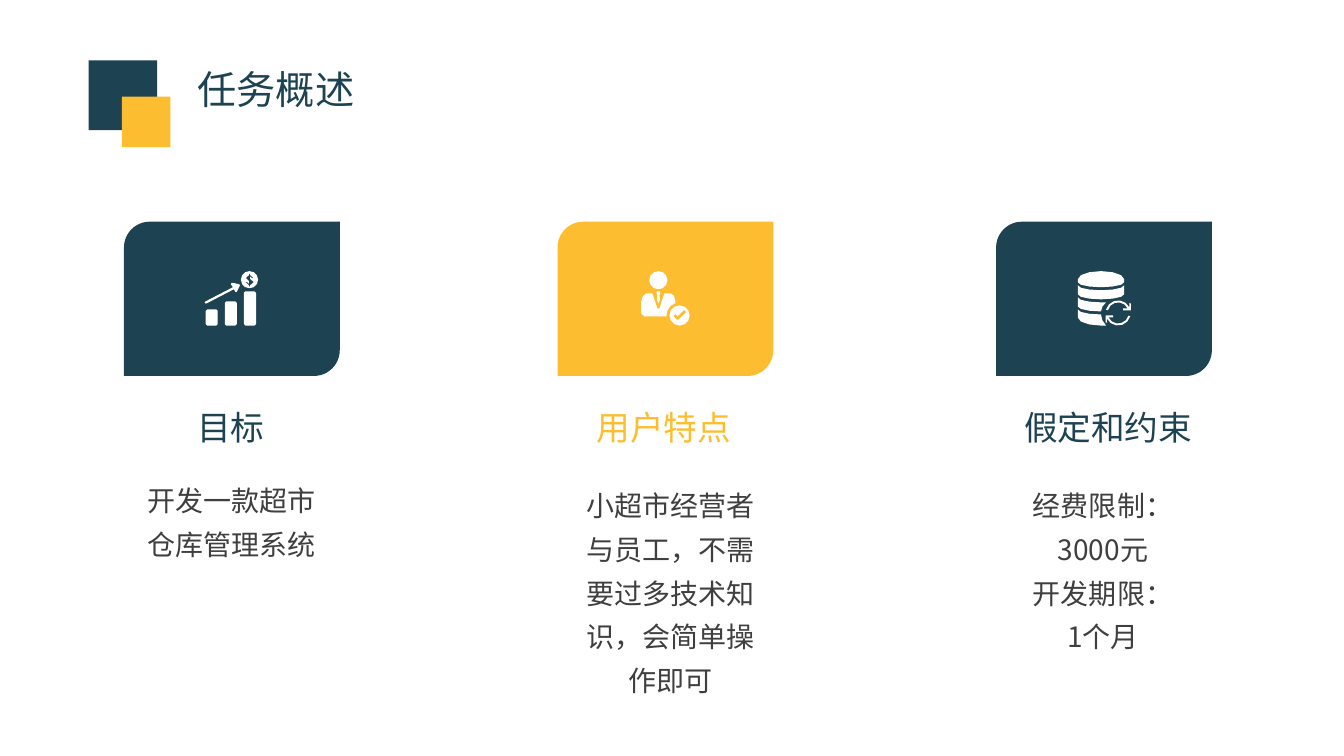
from dataclasses import dataclass
from math import cos, radians, sin

from lxml import etree
from pptx import Presentation
from pptx.dml.color import RGBColor
from pptx.enum.shapes import MSO_SHAPE
from pptx.enum.text import MSO_ANCHOR, MSO_AUTO_SIZE, PP_ALIGN
from pptx.oxml.ns import qn
from pptx.util import Pt

PX = 9144  # 100 px to the inch
ICON_UNIT = PX / 10
ARC_STEP = 30  # degrees
TITLE_ONLY = 5
RECTANGLE = MSO_SHAPE.RECTANGLE
DIAGONAL_ROUND = MSO_SHAPE.ROUND_2_DIAG_RECTANGLE
MIDDLE, TOP = MSO_ANCHOR.MIDDLE, MSO_ANCHOR.TOP
LEFT, CENTER = PP_ALIGN.LEFT, PP_ALIGN.CENTER
GROW = MSO_AUTO_SIZE.SHAPE_TO_FIT_TEXT


@dataclass(frozen=True)
class Theme:
    navy: str = "1D4251"
    amber: str = "FCBD30"
    grey: str = "3F3F3F"
    white: str = "FFFFFF"
    heading_font: str = "Noto Sans CJK JP"
    body_font: str = "Noto Sans CJK SC"
    title_size: int = 28
    label_size: int = 24
    body_size: int = 20


@dataclass(frozen=True)
class Box:
    left: int
    top: int
    width: int
    height: int

    def emu(self):
        return [length * PX for length in (self.left, self.top, self.width, self.height)]


@dataclass(frozen=True)
class Card:
    box: Box
    color: str
    icon: list
    icon_offset: int
    label: str
    label_box: Box
    lines: list
    body_box: Box


THEME = Theme()


def arc(x, y, radius_x, radius_y, start=0, end=360):
    """Points along an ellipse, with angles running clockwise from the right."""
    steps = round(abs(end - start) / ARC_STEP)
    angles = [radians(start + (end - start) * step / steps) for step in range(steps + 1)]
    return [(x + radius_x * cos(angle), y + radius_y * sin(angle)) for angle in angles]


def circle(x, y, radius):
    return arc(x, y, radius, radius)[:-1]


def cut_bar(left, top, right, bottom, cut=15):
    return [(left + cut, top), (right - cut, top), (right, top + cut), (right, bottom - cut),
            (right - cut, bottom), (left + cut, bottom), (left, bottom - cut),
            (left, top + cut)]


def growth_icon():
    bars = [cut_bar(10 + 190 * index, top, 130 + 190 * index, 540)
            for index, top in enumerate((380, 300, 200))]
    arrow = [(0, 310), (10, 300), (280, 160), (260, 130), (270, 115), (345, 130),
             (350, 145), (320, 205), (305, 205), (290, 180), (20, 320), (5, 320)]
    dollar = [(440, 30), (452, 30), (452, 40), (485, 68), (470, 70), (452, 54),
              (452, 78), (488, 108), (452, 140), (452, 152), (440, 152), (440, 140),
              (405, 108), (420, 106), (440, 125), (440, 98), (408, 68), (440, 40)]
    return bars + [arrow, circle(445, 85, 85), dollar]


def user_icon():
    body = [(100, 220), (110, 220), (160, 370), (180, 370), (230, 220), (290, 220),
            (325, 245), (340, 300), *arc(380, 440, 130, 130, 252, 176),
            (30, 450), (0, 420), (0, 300), (15, 250), (50, 220)]
    tie = [(160, 200), (180, 200), (190, 215), (180, 240), (185, 285), (170, 320),
           (155, 285), (160, 240), (150, 215)]
    check = [(420, 390), (360, 450), (340, 425), (320, 445), (350, 480), (370, 480),
             (440, 415), (440, 392)]
    return [circle(170, 90, 90), body, tie, circle(380, 440, 100), check]


def database_icon():
    lid = arc(230, 80, 230, 80, 180, 360) + arc(230, 110, 230, 50, 0, 180)
    upper = arc(230, 140, 230, 50, 180, 0) + arc(230, 230, 230, 50, 0, 180)
    middle = (arc(230, 260, 230, 50, 180, 90) + [(280, 310), (245, 350), (230, 400)]
              + arc(230, 350, 230, 50, 90, 180))
    lower = (arc(230, 380, 230, 50, 180, 90) + [(245, 490), (280, 540)]
             + arc(230, 460, 230, 80, 90, 180))
    turn = (arc(400, 415, 125, 125, 195, 335) + [(510, 320), (525, 320), (525, 390),
            (450, 390), (450, 370), (490, 370)] + arc(400, 415, 105, 105, 335, 195))
    turn_back = [(800 - x, 830 - y) for x, y in turn]
    return [lid, upper, middle, lower, turn, turn_back]


def write(shape, lines, *, font, size, color, align=CENTER, anchor=TOP,
          wrap=True, spacing=None):
    frame = shape.text_frame
    frame.word_wrap, frame.auto_size = wrap, GROW
    frame.vertical_anchor = anchor
    for index, line in enumerate(lines):
        para = frame.add_paragraph() if index else frame.paragraphs[0]
        para.alignment, para.line_spacing = align, spacing
        span = para.add_run()
        span.text = line
        span.font.size, span.font.name = Pt(size), font
        span.font.color.rgb = RGBColor.from_string(color)
        east_asian = etree.SubElement(span.font._element, qn("a:ea"))
        east_asian.set("typeface", font)


def paint(shape, color):
    shape.shadow.inherit = False
    shape.fill.solid()
    shape.fill.fore_color.rgb = RGBColor.from_string(color)
    shape.line.fill.background()


def add_block(page, kind, box, color):
    paint(page.shapes.add_shape(kind, *box.emu()), color)


def add_icon(page, contours, left, top):
    first, *others = contours
    builder = page.shapes.build_freeform(*first[0], scale=ICON_UNIT)
    builder.add_line_segments(first[1:], close=True)
    for contour in others:
        builder.move_to(*contour[0])
        builder.add_line_segments(contour[1:], close=True)
    paint(builder.convert_to_shape(left * PX, top * PX), THEME.white)


def add_header(page, box, text):
    add_block(page, RECTANGLE, Box(box.left, box.top, 68, 69), THEME.navy)
    add_block(page, RECTANGLE, Box(box.left + 33, box.top + 36, 48, 50), THEME.amber)
    title = page.shapes.title
    title.left, title.top, title.width, title.height = Box(
        box.left + 98, box.top, box.width - 98, 57).emu()
    write(title, [text], font=THEME.heading_font, size=THEME.title_size,
          color=THEME.navy, align=LEFT, anchor=MIDDLE)


def add_card(page, card):
    box = card.box
    add_block(page, DIAGONAL_ROUND, box, card.color)
    add_icon(page, card.icon, box.left + card.icon_offset, box.top + 49)
    label = page.shapes.add_textbox(*card.label_box.emu())
    write(label, [card.label], font=THEME.heading_font, size=THEME.label_size,
          color=card.color, wrap=False)
    body = page.shapes.add_textbox(*card.body_box.emu())
    write(body, card.lines, font=THEME.body_font, size=THEME.body_size,
          color=THEME.grey, spacing=1.3)


def main():
    deck = Presentation()
    deck.slide_width, deck.slide_height = 1333 * PX, 750 * PX
    page = deck.slides.add_slide(deck.slide_layouts[TITLE_ONLY])
    add_header(page, Box(88, 60, 450, 86), "任务概述")
    cards = [
        Card(Box(123, 220, 214, 153), THEME.navy, growth_icon(), 80,
             "目标", Box(185, 399, 88, 50),
             ["开发一款超市仓库管理系统"], Box(124, 465, 212, 93)),
        Card(Box(553, 220, 214, 153), THEME.amber, user_icon(), 83,
             "用户特点", Box(581, 399, 155, 50),
             ["小超市经营者与员工，不需要过多技术知识，会简单操作即可"],
             Box(559, 470, 212, 225)),
        Card(Box(988, 220, 214, 153), THEME.navy, database_icon(), 81,
             "假定和约束", Box(1005, 399, 188, 50),
             ["经费限制：3000元", "开发期限：", "1个月"], Box(988, 470, 212, 181)),
    ]
    for card in cards:
        add_card(page, card)
    deck.save("out.pptx")


if __name__ == "__main__":
    main()
